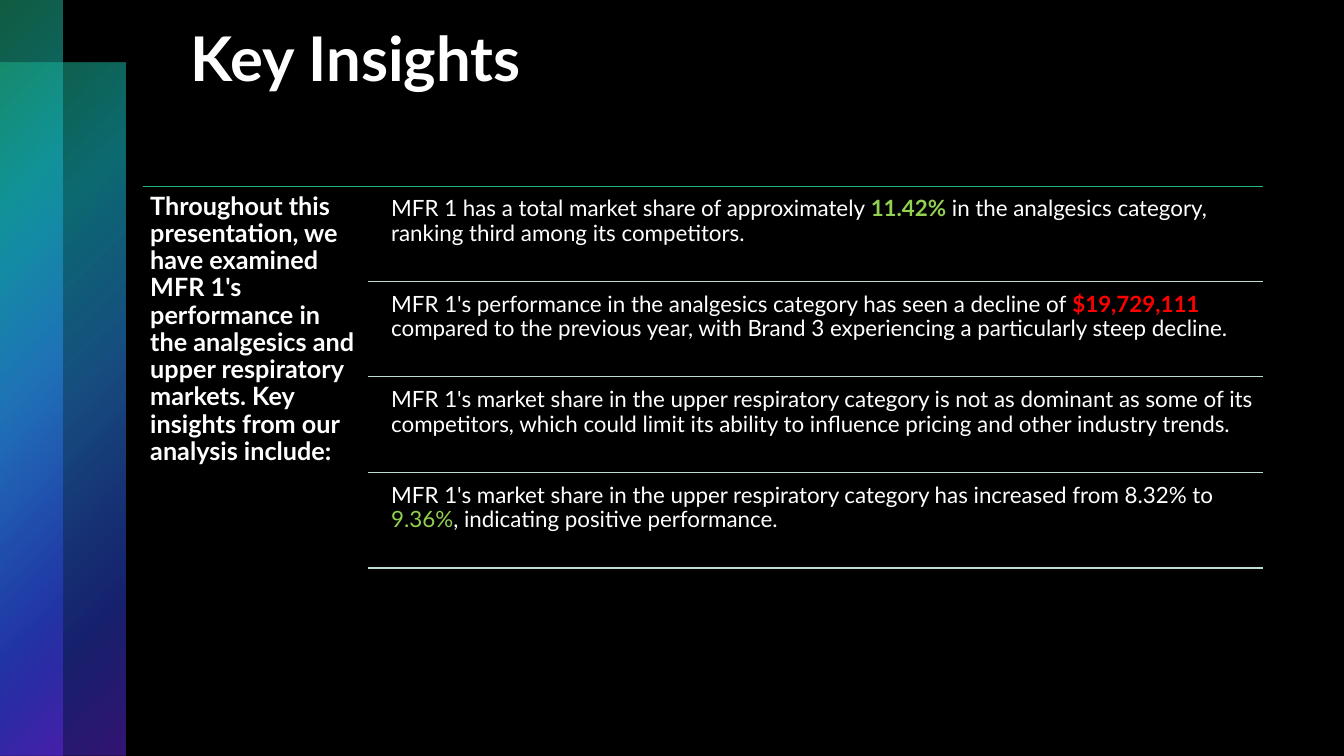
from lxml.etree import SubElement
from pptx import Presentation
from pptx.dml.color import RGBColor
from pptx.enum.shapes import MSO_CONNECTOR, MSO_SHAPE
from pptx.enum.text import MSO_ANCHOR, PP_ALIGN
from pptx.oxml import parse_xml
from pptx.oxml.ns import nsdecls, qn
from pptx.util import Inches, Pt

WHITE, GREEN, RED = "FFFFFF", "92D050", "FF0000"
TEAL, PALE = "21B782", "BDDFCD"
STOPS = [(0, TEAL, 50), (25, "14B1BC", 60), (50, "298CE7", 55),
         (81, "2E40D9", 50), (99, "6529E7", 50)]
INTRO = ("Throughout this presentation, we have examined MFR 1's performance "
         "in the analgesics and upper respiratory markets. Key insights from "
         "our analysis include:")
POINTS = [
    [("MFR 1 has a total market share of approximately ", WHITE, False),
     ("11.42%", GREEN, True),
     (" in the analgesics category, ranking third among its competitors.",
      WHITE, False)],
    [("MFR 1's performance in the analgesics category has seen a decline of ",
      WHITE, False),
     ("$19,729,111 ", RED, True),
     ("compared to the previous year, with Brand 3 experiencing a "
      "particularly steep decline.", WHITE, False)],
    [("MFR 1's market share in the upper respiratory category is not as "
      "dominant as some of its competitors, which could limit its ability to "
      "influence pricing and other industry trends.", WHITE, False)],
    [("MFR 1's market share in the upper respiratory category has increased "
      "from 8.32% to ", WHITE, False),
     ("9.36%", GREEN, False),
     (", indicating positive performance.", WHITE, False)],
]


def color(code):
    """Turn a hex string into a colour."""
    return RGBColor.from_string(code)


def add_band(slide, top, width, height):
    """Add a see-through gradient band at the left edge."""
    band = slide.shapes.add_shape(MSO_SHAPE.RECTANGLE, 0, Inches(top),
                                  Inches(width), Inches(height))
    band.shadow.inherit = False
    band.line.fill.background()
    band.fill.background()
    stops = "".join(
        f'<a:gs pos="{pos * 1000}"><a:srgbClr val="{code}">'
        f'<a:alpha val="{alpha * 1000}"/></a:srgbClr></a:gs>'
        for pos, code, alpha in STOPS)
    grad = parse_xml(
        f'<a:gradFill {nsdecls("a")} rotWithShape="1"><a:gsLst>{stops}</a:gsLst>'
        '<a:path path="circle"><a:fillToRect r="100000" b="100000"/></a:path>'
        '</a:gradFill>')
    props = band.element.spPr
    props.replace(props.find(qn("a:noFill")), grad)


def add_run(para, text, size, code, bold):
    """Add one formatted run to a paragraph."""
    run = para.add_run()
    run.text = text
    run.font.name = "Lato"
    run.font.size = Pt(size)
    run.font.bold = bold
    run.font.color.rgb = color(code)
    return run


def add_title(slide, text):
    """Place the title and give its text a green shadow."""
    title = slide.shapes.title
    title.left, title.top = Inches(1.79), Inches(0.15)
    title.width, title.height = Inches(10.37), Inches(1.7)
    frame = title.text_frame
    frame.vertical_anchor = MSO_ANCHOR.TOP
    para = frame.paragraphs[0]
    para.alignment = PP_ALIGN.LEFT
    run = add_run(para, text, 44, WHITE, True)
    glow = parse_xml(
        f'<a:effectLst {nsdecls("a")}><a:outerShdw blurRad="38100" dist="38100" '
        f'dir="2700000" algn="tl"><a:srgbClr val="{TEAL}"><a:alpha val="60000"/>'
        '</a:srgbClr></a:outerShdw></a:effectLst>')
    run.font._element.find(qn("a:solidFill")).addnext(glow)


def add_text(slide, left, top, width, height, size, runs):
    """Add a wrapped text box made of formatted runs."""
    box = slide.shapes.add_textbox(Inches(left), Inches(top),
                                   Inches(width), Inches(height))
    frame = box.text_frame
    frame.word_wrap = True
    frame.margin_left = frame.margin_right = Inches(0.07)
    frame.margin_top = frame.margin_bottom = Inches(0.07)
    para = frame.paragraphs[0]
    para.line_spacing = 0.9
    for text, code, bold in runs:
        add_run(para, text, size, code, bold)


def add_rule(slide, left, top, code):
    """Add a thin rule that ends at the right margin."""
    rule = slide.shapes.add_connector(MSO_CONNECTOR.STRAIGHT, Inches(left),
                                      Inches(top), Inches(12.53), Inches(top))
    rule.line.color.rgb = color(code)
    rule.line.width = Pt(1)
    SubElement(rule.element.spPr, qn("a:effectLst"))


def main():
    """Build the slide and save it."""
    deck = Presentation()
    deck.slide_width, deck.slide_height = Inches(13.33), Inches(7.5)
    slide = deck.slides.add_slide(deck.slide_layouts[5])
    slide.background.fill.solid()
    slide.background.fill.fore_color.rgb = color("000000")
    add_band(slide, 0.62, 1.24, 6.88)
    add_band(slide, 0, 0.62, 7.5)
    add_title(slide, "Key Insights")
    add_rule(slide, 1.42, 1.85, TEAL)
    add_text(slide, 1.42, 1.85, 2.22, 3.84, 18, [(INTRO, WHITE, True)])
    for row, runs in enumerate(POINTS):
        top = 1.89 + row * 0.948
        add_text(slide, 3.81, top, 8.72, 0.9, 16, runs)
        add_rule(slide, 3.65, top + 0.9, PALE)
    deck.save("out.pptx")


if __name__ == "__main__":
    main()
